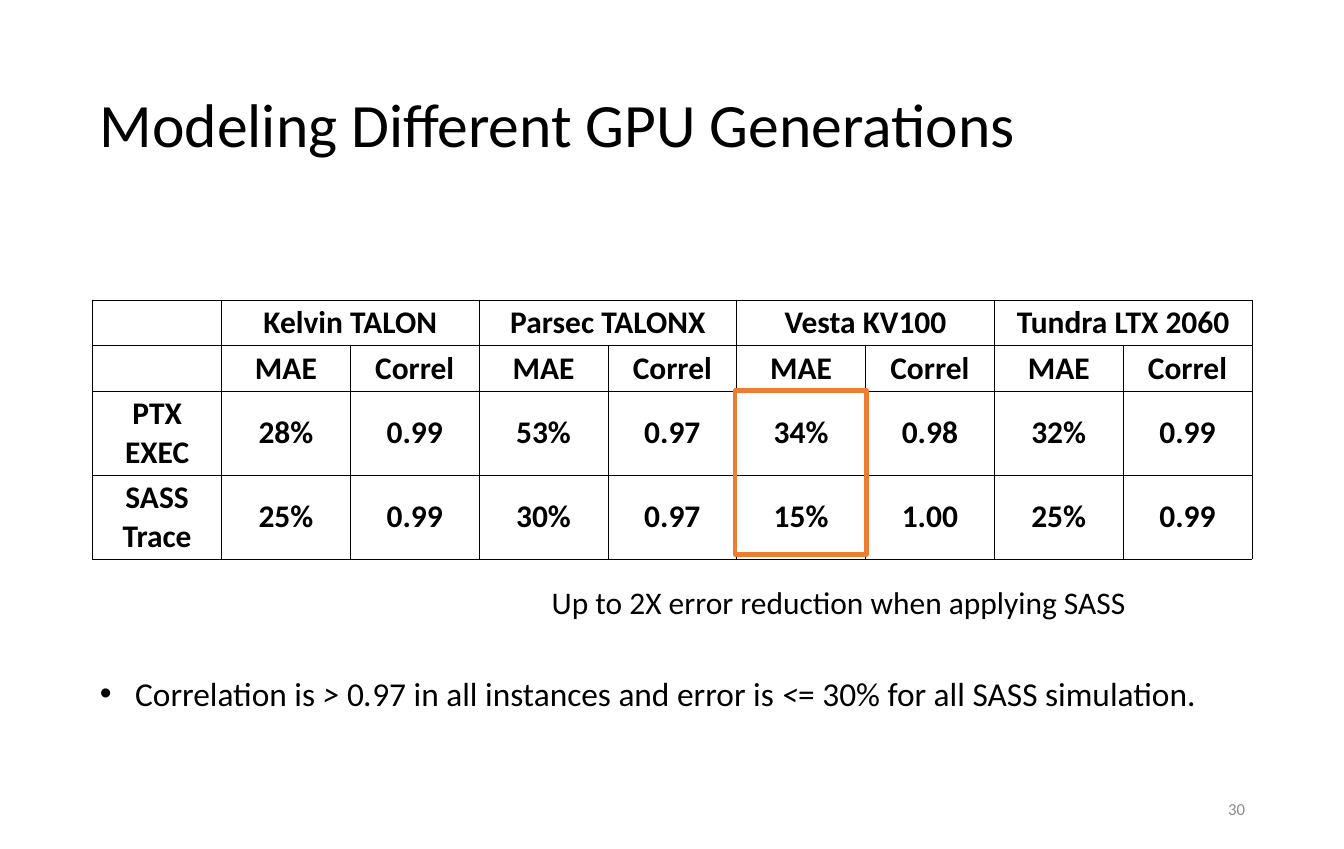
from lxml.etree import SubElement
from pptx import Presentation
from pptx.dml.color import RGBColor
from pptx.enum.shapes import MSO_SHAPE
from pptx.enum.text import MSO_ANCHOR, MSO_AUTO_SIZE, PP_ALIGN
from pptx.oxml.ns import qn
from pptx.util import Cm, Pt

FONT = "Calibri"
COLORS = {"text": "000000", "page": "8C8C8C", "highlight": "ED7D31"}

# Shared column of the layout, in centimetres
LEFT, WIDTH = 3.33, 41.63

GENERATIONS = ["Kelvin TALON", "Parsec TALONX", "Vesta KV100", "Tundra LTX 2060"]
MEASURES = ["MAE", "Correl"]
RESULTS = [
    ["PTX EXEC", "28%", "0.99", "53%", "0.97", "34%", "0.98", "32%", "0.99"],
    ["SASS Trace", "25%", "0.99", "30%", "0.97", "15%", "1.00", "25%", "0.99"],
]
ROW_HEIGHTS = [1.63, 1.63, 3.01, 3.01]

# Text and whether it is italic
CONCLUSION = [
    ("Correlation is ", False),
    ("> ", True),
    ("0", False),
    (".", True),
    ("97 in all instances and error is ", False),
    ("<", True),
    ("= 30% for all SASS simulation.", False),
]


def place(shape, left, top, width, height):
    shape.left, shape.top = Cm(left), Cm(top)
    shape.width, shape.height = Cm(width), Cm(height)


def format_paragraph(paragraph, size, color="text", align=PP_ALIGN.LEFT, bold=False):
    paragraph.alignment = align
    font = paragraph.font
    font.name, font.size, font.bold = FONT, Pt(size), bold
    font.color.rgb = RGBColor.from_string(COLORS[color])


def add_title(slide, text):
    title = slide.shapes.title
    place(title, LEFT, 1.63, WIDTH, 5.89)
    frame = title.text_frame
    frame.text = text
    frame.auto_size = MSO_AUTO_SIZE.NONE
    frame.vertical_anchor = MSO_ANCHOR.MIDDLE
    paragraph = frame.paragraphs[0]
    paragraph.line_spacing = 0.9
    format_paragraph(paragraph, 62.7)


def add_bullet(slide, parts):
    body = slide.placeholders[1]
    place(body, LEFT, 24.03, WIDTH, 1.7)
    frame = body.text_frame
    frame.auto_size = MSO_AUTO_SIZE.NONE
    paragraph = frame.paragraphs[0]
    paragraph.space_before = Pt(0)
    format_paragraph(paragraph, 34)
    for text, italic in parts:
        run = paragraph.add_run()
        run.text = text
        run.font.italic = italic
    # Hanging indent; the bullet itself comes from the template
    properties = paragraph._p.get_or_add_pPr()
    properties.set("marL", str(Cm(1.27)))
    properties.set("indent", str(-Cm(1.27)))


def add_label(slide, text, box, size, color="text", align=PP_ALIGN.LEFT, wrap=True):
    frame = slide.shapes.add_textbox(*map(Cm, box)).text_frame
    frame.text = text
    frame.word_wrap = wrap
    frame.vertical_anchor = MSO_ANCHOR.MIDDLE
    format_paragraph(frame.paragraphs[0], size, color, align)


def add_borders(cell):
    properties = cell._tc.get_or_add_tcPr()
    for side in ("lnL", "lnR", "lnT", "lnB"):
        line = SubElement(properties, qn(f"a:{side}"), w=str(Pt(1)))
        fill = SubElement(line, qn("a:solidFill"))
        SubElement(fill, qn("a:srgbClr"), val=COLORS["text"])


def add_results_table(slide):
    # Each generation heads one pair of measures
    generation_row = [""]
    for generation in GENERATIONS:
        generation_row += [generation, ""]
    rows = [generation_row, [""] + MEASURES * len(GENERATIONS)] + RESULTS
    column_count = len(generation_row)

    frame = slide.shapes.add_table(
        len(rows), column_count, Cm(LEFT), Cm(10.77), Cm(WIDTH), Cm(sum(ROW_HEIGHTS)))
    table = frame.table
    table.first_row = table.horz_banding = False
    for column in table.columns:
        column.width = Cm(WIDTH / column_count)
    for row, height, texts in zip(table.rows, ROW_HEIGHTS, rows):
        row.height = Cm(height)
        for cell, text in zip(row.cells, texts):
            cell.text = text
            cell.vertical_anchor = MSO_ANCHOR.MIDDLE
            format_paragraph(cell.text_frame.paragraphs[0], 32,
                             align=PP_ALIGN.CENTER, bold=True)
            add_borders(cell)
            cell.fill.background()
    for column in range(1, column_count, len(MEASURES)):
        table.cell(0, column).merge(table.cell(0, column + 1))


def add_highlight(slide, box):
    frame = slide.shapes.add_shape(MSO_SHAPE.RECTANGLE, *map(Cm, box))
    frame.shadow.inherit = False
    frame.fill.background()
    frame.line.color.rgb = RGBColor.from_string(COLORS["highlight"])
    frame.line.width = Pt(4.5)


def main():
    presentation = Presentation()
    presentation.slide_width, presentation.slide_height = Cm(48.26), Cm(30.48)
    slide = presentation.slides.add_slide(presentation.slide_layouts[1])

    # Title and results
    add_title(slide, "Modeling Different GPU Generations")
    add_results_table(slide)

    # Highlighted errors and their caption
    add_highlight(slide, (26.4, 14.02, 4.72, 5.89))
    add_label(slide, "Up to 2X error reduction when applying SASS",
              (19.56, 20.8, 21.62, 1.63), 32, wrap=False)

    # Conclusion and page number
    add_bullet(slide, CONCLUSION)
    add_label(slide, "30", (34.09, 28.24, 10.87, 1.63), 17.1, "page", PP_ALIGN.RIGHT)

    presentation.save("out.pptx")


main()
